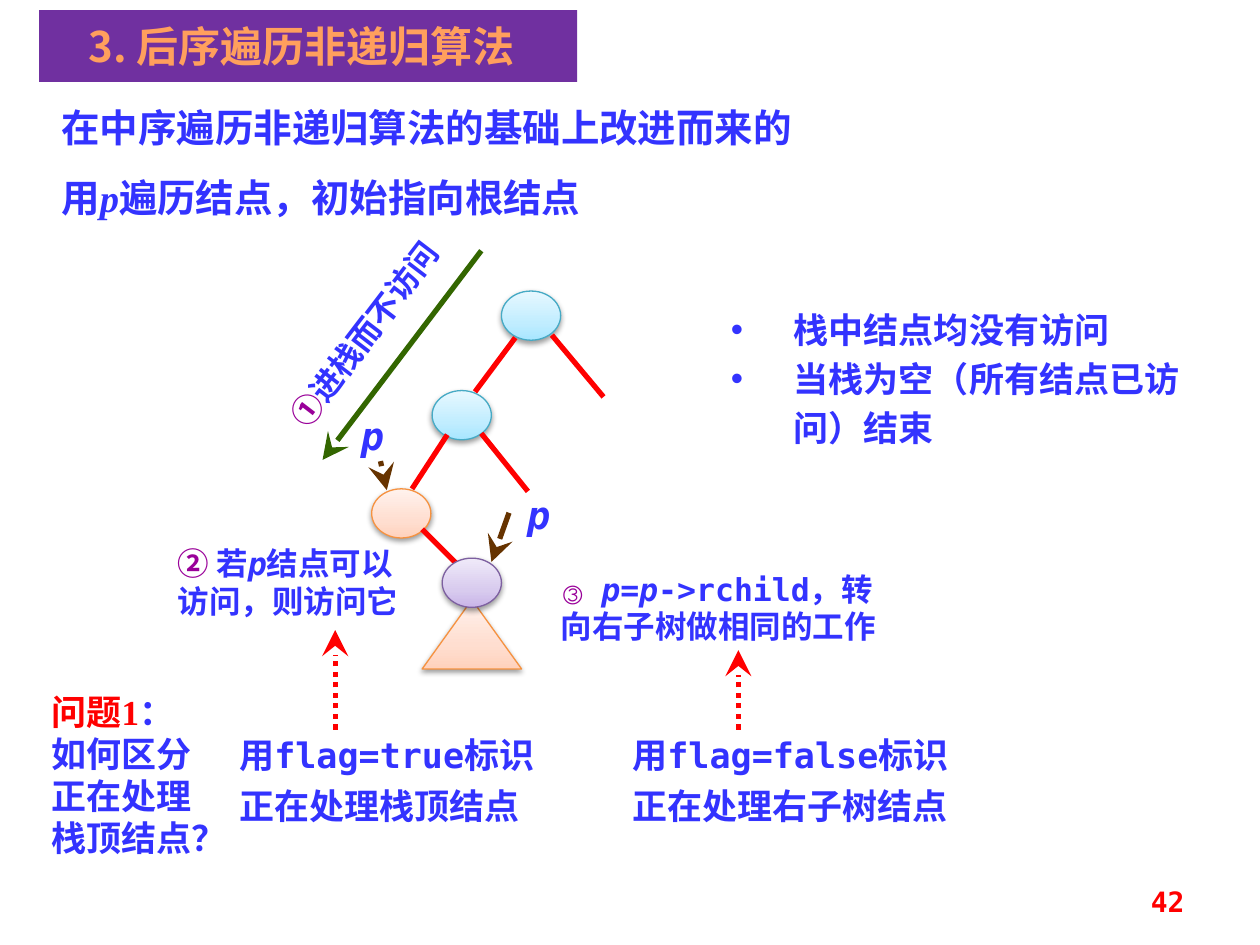
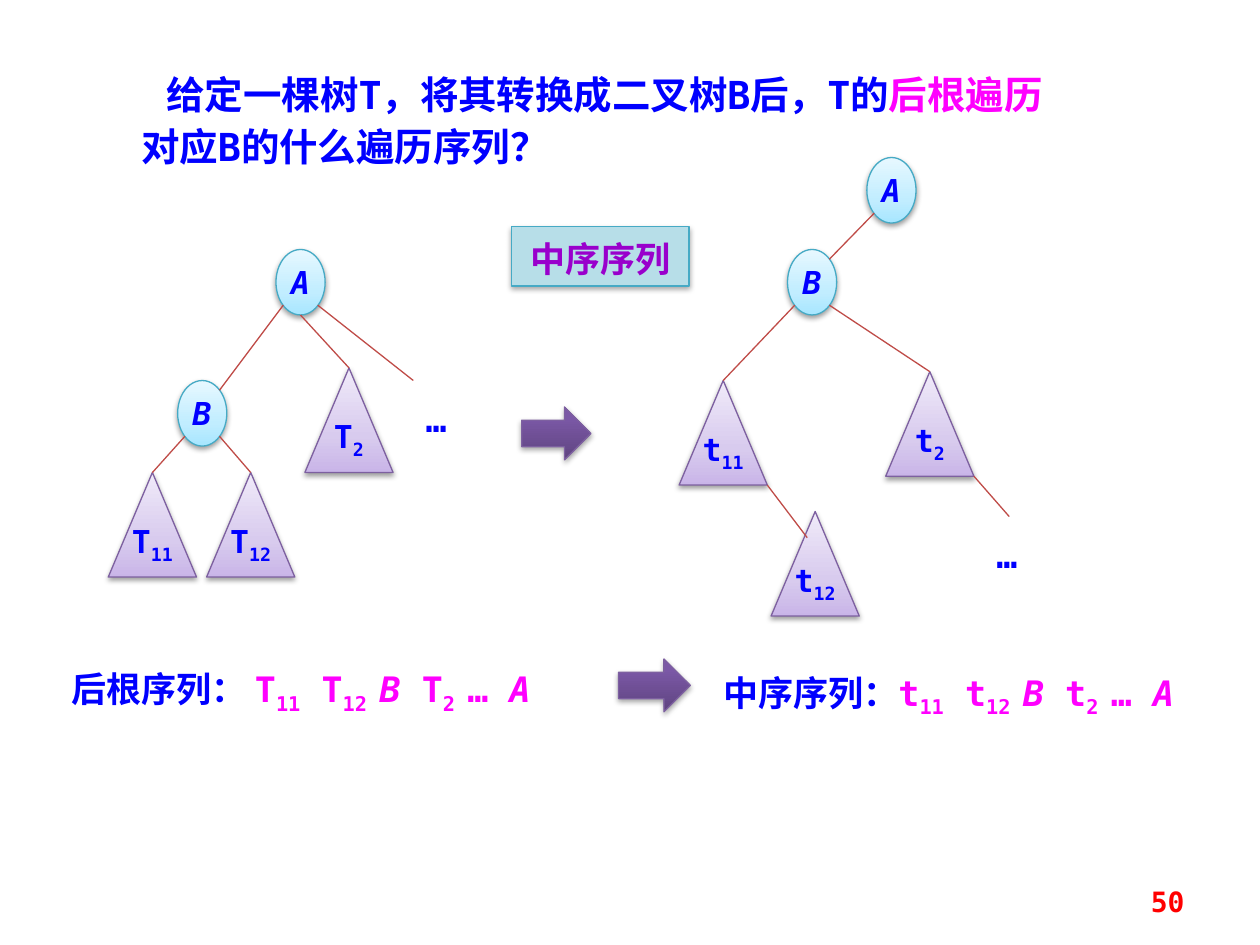
from lxml import etree
from pptx import Presentation
from pptx.dml.color import RGBColor
from pptx.enum.dml import MSO_LINE
from pptx.enum.shapes import MSO_CONNECTOR, MSO_SHAPE
from pptx.enum.text import MSO_ANCHOR, MSO_AUTO_SIZE, PP_ALIGN
from pptx.oxml.ns import qn
from pptx.util import Inches, Pt

STRAIGHT = MSO_CONNECTOR.STRAIGHT
DOTTED = MSO_LINE.ROUND_DOT
OVAL, TRIANGLE = MSO_SHAPE.OVAL, MSO_SHAPE.ISOSCELES_TRIANGLE
ARROW, RECT = MSO_SHAPE.RIGHT_ARROW, MSO_SHAPE.RECTANGLE
LEFT, CENTER, RIGHT = PP_ALIGN.LEFT, PP_ALIGN.CENTER, PP_ALIGN.RIGHT
TOP, MIDDLE = MSO_ANCHOR.TOP, MSO_ANCHOR.MIDDLE

MONO, SANS, SERIF = "DejaVu Sans Mono", "Noto Sans CJK SC", "Times New Roman"

INDIGO = RGBColor(0x33, 0x33, 0xFF)
BLUE = RGBColor(0x00, 0x00, 0xFF)
PINK = RGBColor(0xFF, 0x00, 0xFF)
RED = RGBColor(0xFF, 0x00, 0x00)
PLUM = RGBColor(0x99, 0x00, 0x99)
VIOLET = RGBColor(0x99, 0x00, 0xCC)
BROWN = RGBColor(0x66, 0x33, 0x00)
GREEN = RGBColor(0x33, 0x66, 0x00)
BRICK = RGBColor(0xBF, 0x4C, 0x48)
BAND = RGBColor(0x70, 0x30, 0xA0)
PALE_BLUE = RGBColor(0xB7, 0xDE, 0xE8)
TEAL_EDGE = RGBColor(0x46, 0xAA, 0xC5)
ORANGE_EDGE = RGBColor(0xF6, 0x92, 0x40)
PURPLE_EDGE = RGBColor(0x7D, 0x60, 0xA0)

# Looks: gradient stops and outline colour
SKY = ([(0, "A7E6FF"), (35, "C1EDFF"), (100, "E7F8FF")], TEAL_EDGE)
PEACH = ([(0, "FFD2BD"), (35, "FFDED0"), (100, "FFF2ED")], ORANGE_EDGE)
LILAC = ([(0, "C9B5E8"), (35, "D8CBEE"), (100, "F0EAF9")], PURPLE_EDGE)
GRAPE = ([(0, "5F4480"), (80, "7B58A6"), (100, "7C57A8")], PURPLE_EDGE)
TITLE_GLOW = [(0, "FFA367"), (25, "FF9F5D"), (50, "F38E3A"),
              (75, "FF9F5D"), (100, "FFA367")]

# Content of the traversal slide; a span is text or (text, colour, flags)
TRAVERSAL_TITLE = "3. 后序遍历非递归算法"
STACK_FACTS = [["栈中结点均没有访问"], ["当栈为空（所有结点已访问）结束"]]
TREE_NODES = [(3.98, 2.31, SKY), (3.43, 3.1, SKY), (2.95, 3.88, PEACH)]
RIGHT_CHILD = (3.51, 4.43, LILAC)
TREE_EDGES = [((4.09, 2.68), (3.77, 3.11)), ((3.55, 3.45), (3.27, 3.88)),
              ((4.38, 2.66), (4.79, 3.15)), ((3.35, 4.2), (3.74, 4.59)),
              ((3.82, 3.44), (4.19, 3.9))]
POINTERS = [((3.02, 3.66), (3.07, 3.89)), ((4.04, 4.07), (3.9, 4.46))]
POINTER_LABELS = [(2.8, 3.27), (4.12, 3.9)]
FLAG_ARROWS = [((2.66, 5.79), (2.66, 5)), ((5.86, 5.79), (5.86, 5.16))]
INTRO = [((0.39, 0.78, 6.93, 0.47), SANS, ["在中序遍历非递归算法的基础上改进而来的"]),
         ((0.39, 1.33, 5, 0.47), SERIF,
          ["用", ("p", INDIGO, "i"), "遍历结点，初始指向根结点"])]
PUSH_STEP = [("①", PLUM), "进栈而不访问"]
VISIT_STEP = [("② ", PLUM), "若", ("p", INDIGO, "i"), "结点可以访问，则访问它"]
TURN_STEP = [("③ ", PLUM), ("p", INDIGO, "i"), "=", ("p", INDIGO, "i"),
             "->rchild，转向右子树做相同的工作"]
FLAGS = [((1.8, 5.86, 2.81, 0.8), [["用flag=true标识"], ["正在处理栈顶结点"]]),
         ((4.92, 5.86, 3.13, 0.8), [["用flag=false标识"], ["正在处理右子树结点"]])]
QUESTION = [[("问题1", RED), "："], ["如何区分正在处理栈顶结点？"]]

# Content of the conversion slide
CONVERSION_TITLE = ["给定一棵树T，将其转换成二叉树B后，T的", ("后根遍历", PINK),
                    "对应B的什么遍历序列？"]
ANSWER = "中序序列"
SEQUENCES = [((0.47, 5.21, 4.36, 0.48), "后根序列：", " T"),
             ((5.64, 5.24, 4.13, 0.48), "中序序列：", "t")]
# Each tree: nodes by name, then edges between node sites or to a loose point
TREES = [
    ({"A": (2.19, 1.98), "B": (1.41, 3.02), "T11": (0.86, 3.75),
      "T12": (1.64, 3.75), "T2": (2.42, 2.92)},
     [(("A", "lower left"), ("B", "upper right")), (("A", "bottom"), ("T2", "top")),
      (("A", "lower right"), (3.28, 3.02)), (("B", "lower left"), ("T11", "top")),
      (("B", "lower right"), ("T12", "top"))]),
    ({"A": (6.88, 1.25), "B": (6.25, 1.98), "t11": (5.39, 3.02),
      "t12": (6.12, 4.06), "t2": (7.03, 2.95)},
     [(("A", "lower left"), ("B", "upper right")), (("B", "lower left"), ("t11", "top")),
      (("B", "lower right"), ("t2", "top")), (("t11", "corner"), ("t12", "slope")),
      (("t2", "corner"), (8.01, 4.1))]),
]
ELLIPSES = [(3.28, 3.02), (7.81, 4.1)]
BLOCK_ARROWS = [(4.14, 3.23, 0.55, 0.42), (4.91, 5.23, 0.57, 0.42)]
SITES = {"top": (0.5, 0), "bottom": (0.5, 1), "corner": (1, 1), "slope": (0.41, 0.25),
         "lower left": (0.15, 0.85), "lower right": (0.85, 0.85),
         "upper right": (0.85, 0.15)}
OVAL_SIZE, TRIANGLE_SIZE = (0.39, 0.52), (0.7, 0.83)


def paint_gradient(fill, owner, stops, angle):
    fill.gradient()
    fill.gradient_angle = 360 - angle
    stop_list = owner.find(".//" + qn("a:gsLst"))
    for stop in list(stop_list):
        stop_list.remove(stop)
    for place, tone in stops:
        stop = etree.SubElement(stop_list, qn("a:gs"), pos=str(place * 1000))
        etree.SubElement(stop, qn("a:srgbClr"), val=tone)


def add_shadow(shape, opacity=38):
    shape.shadow.inherit = False
    effects = shape._element.spPr.find(qn("a:effectLst"))
    shadow = etree.SubElement(effects, qn("a:outerShdw"), blurRad="40000", dist="20000",
                              dir="5400000", rotWithShape="0")
    tone = etree.SubElement(shadow, qn("a:srgbClr"), val="000000")
    etree.SubElement(tone, qn("a:alpha"), val=str(opacity * 1000))


def place(shape, at):
    shape.left, shape.top, shape.width, shape.height = map(Inches, at)


def write(shape, paragraphs, size, color, font=MONO, align=LEFT, spacing=None,
          before=0, inset=None, anchor=TOP, wrap=True, indent=0, hanging=None):
    """Fill a shape with paragraphs, each a list of spans."""
    frame = shape.text_frame
    frame.word_wrap, frame.auto_size = wrap, MSO_AUTO_SIZE.NONE
    frame.vertical_anchor = anchor
    if inset is not None:
        frame.margin_left = frame.margin_right = Inches(inset)
        frame.margin_top = frame.margin_bottom = Inches(inset)
    for index, spans in enumerate(paragraphs):
        para = frame.add_paragraph() if index else frame.paragraphs[0]
        props = para._p.get_or_add_pPr()
        if hanging:
            props.set("marL", str(Inches(hanging)))
            props.set("indent", str(-Inches(hanging)))
            etree.SubElement(props, qn("a:buChar"), char="•")
        elif indent:
            props.set("indent", str(Inches(indent)))
        para.alignment = align
        para.space_before = Pt(before if index else 0)
        if spacing:
            para.line_spacing = Pt(spacing)
        para.font.size, para.font.bold, para.font.name = Pt(size), True, font
        para.font.color.rgb = color
        etree.SubElement(props.get_or_add_defRPr(), qn("a:ea"), typeface=SANS)
        for item in spans:
            text, tone, flags = ((item,) if isinstance(item, str) else item) + (
                (color, "") if isinstance(item, str) else ("",) * (3 - len(item)))
            span = para.add_run()
            span.text = text
            if tone != color:
                span.font.color.rgb = tone
            if "i" in flags:
                span.font.italic = True
            if "s" in flags:
                span.font._element.set("baseline", "-25000")


def add_text(page, at, paragraphs, size, color, **options):
    box = page.shapes.add_textbox(*map(Inches, at))
    write(box, paragraphs, size, color, **options)
    return box


def add_glossy(page, kind, at, look, opacity=38):
    stops, edge = look
    shape = page.shapes.add_shape(kind, *map(Inches, at))
    paint_gradient(shape.fill, shape._element.spPr, stops, 270)
    shape.line.color.rgb, shape.line.width = edge, Pt(0.75)
    add_shadow(shape, opacity)
    return shape


def add_line(page, start, end, color, width=3, arrow=False, dash=None):
    line = page.shapes.add_connector(STRAIGHT, *map(Inches, start + end))
    line.line.color.rgb, line.line.width = color, Pt(width)
    if dash:
        line.line.dash_style = dash
    if arrow:
        etree.SubElement(line.line._get_or_add_ln(), qn("a:tailEnd"),
                         type="stealth", w="lg", len="lg")
    etree.SubElement(line._element.spPr, qn("a:effectLst"))


def add_page(deck, layout, number):
    page = deck.slides.add_slide(deck.slide_layouts[layout])
    add_text(page, (7.17, 6.95, 2.33, 0.4), [[number]], 16, RED, align=RIGHT, anchor=MIDDLE)
    return page


def build_traversal(deck):
    page = add_page(deck, 1, "42")

    # Title band and list
    title, body = page.shapes.title, page.placeholders[1]
    place(title, (0.31, 0.08, 4.27, 0.57))
    title.fill.solid()
    title.fill.fore_color.rgb = BAND
    write(title, [[TRAVERSAL_TITLE]], 24, INDIGO, font=SANS, align=CENTER, anchor=MIDDLE)
    title.text_frame.margin_right = Inches(0.2)
    span = title.text_frame.paragraphs[0].runs[0]
    paint_gradient(span.font.fill, span.font._element, TITLE_GLOW, 90)
    place(body, (5.7, 2.34, 3.98, 1.28))
    write(body, STACK_FACTS, 20, INDIGO, font=SERIF, spacing=28, hanging=0.5)
    for at, font, spans in INTRO:
        add_text(page, at, [spans], 22, INDIGO, font=font)

    # Tree
    add_glossy(page, TRIANGLE, (3.35, 4.76, 0.79, 0.55), PEACH)
    for x, y, look in TREE_NODES:
        add_glossy(page, OVAL, (x, y, 0.47, 0.39), look)
    for start, end in TREE_EDGES:
        add_line(page, start, end, RED)
    x, y, look = RIGHT_CHILD
    add_glossy(page, OVAL, (x, y, 0.47, 0.39), look)

    # Pointers and steps
    for start, end in POINTERS:
        add_line(page, start, end, BROWN, arrow=True)
    for x, y in POINTER_LABELS:
        add_text(page, (x, y, 0.31, 0.37), [[("p", INDIGO, "i")]], 22, INDIGO,
                 align=CENTER, inset=0)
    add_line(page, (3.82, 1.99), (2.56, 3.65), GREEN, arrow=True)
    push = add_text(page, (1.47, 2.45, 2.84, 0.4), [PUSH_STEP], 18, INDIGO,
                    font=SERIF, align=CENTER)
    push.rotation = 307.4
    add_text(page, (1.41, 4.32, 1.88, 0.61), [VISIT_STEP], 18, INDIGO, inset=0)
    add_text(page, (4.37, 4.52, 2.66, 0.61), [TURN_STEP], 18, INDIGO, align=CENTER, inset=0)

    # Question and flags
    for start, end in FLAG_ARROWS:
        add_line(page, start, end, RED, arrow=True, dash=DOTTED)
    for at, paragraphs in FLAGS:
        add_text(page, at, paragraphs, 20, INDIGO, spacing=18, before=11)
    add_text(page, (0.31, 5.43, 1.48, 1.45), QUESTION, 20, INDIGO, font=SERIF)


def build_conversion(deck):
    page = add_page(deck, 5, "50")
    place(page.shapes.title, (1.02, 0.46, 7.58, 0.94))
    write(page.shapes.title, [CONVERSION_TITLE], 22, BLUE, spacing=30, indent=0.2)

    # Trees
    for nodes, edges in TREES:
        for name, corner in nodes.items():
            letter, digits = name[0], name[1:]
            if digits:
                node = add_glossy(page, TRIANGLE, corner + TRIANGLE_SIZE, LILAC)
                spans, spacing = [letter, (digits, BLUE, "s")], 16
            else:
                node = add_glossy(page, OVAL, corner + OVAL_SIZE, SKY)
                spans, spacing = [(letter, BLUE, "i")], None
            write(node, [spans], 18, BLUE, align=CENTER, spacing=spacing,
                  inset=0, anchor=MIDDLE, wrap=False)

        def locate(end):
            if end[0] not in nodes:
                return end
            size = TRIANGLE_SIZE if end[0][1:] else OVAL_SIZE
            return tuple(start + length * part for start, length, part
                         in zip(nodes[end[0]], size, SITES[end[1]]))

        for start, end in edges:
            add_line(page, locate(start), locate(end), BRICK, 0.75)
    for x, y in ELLIPSES:
        add_text(page, (x, y, 0.55, 0.52), [["…"]], 20, BLUE, spacing=30)

    # Sequences, block arrows and answer
    for at, label, letter in SEQUENCES:
        later = " " + letter.strip()
        spans = [label, (letter, PINK), ("11", PINK, "s"), (later, PINK),
                 ("12 ", PINK, "s"), ("B", PINK, "i"), (later, PINK),
                 ("2 ", PINK, "s"), ("… ", PINK), ("A", PINK, "i")]
        add_text(page, at, [spans], 20, BLUE, spacing=30)
    for at in BLOCK_ARROWS:
        add_glossy(page, ARROW, at, GRAPE, 35)
    answer = page.shapes.add_shape(RECT, *map(Inches, (4.06, 1.8, 1.41, 0.47)))
    answer.fill.solid()
    answer.fill.fore_color.rgb = PALE_BLUE
    answer.line.color.rgb, answer.line.width = TEAL_EDGE, Pt(0.75)
    add_shadow(answer, 35)
    write(answer, [[ANSWER]], 20, VIOLET, align=CENTER, spacing=26, anchor=MIDDLE)


def main():
    deck = Presentation()
    deck.slide_width, deck.slide_height = Inches(10), Inches(7.5)
    build_traversal(deck)
    build_conversion(deck)
    deck.save("out.pptx")


if __name__ == "__main__":
    main()
